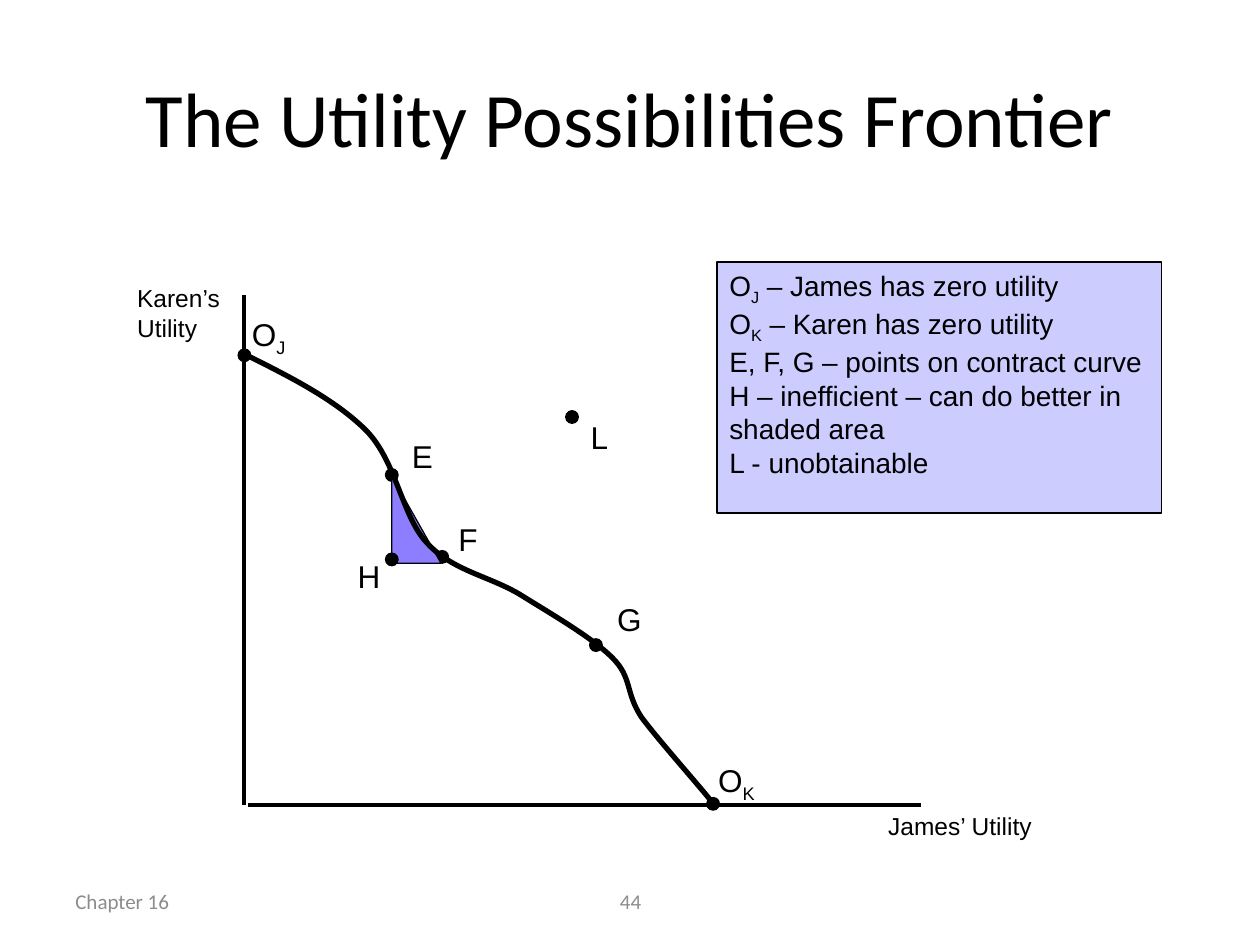
from lxml import etree
from pptx import Presentation
from pptx.dml.color import RGBColor
from pptx.enum.shapes import MSO_CONNECTOR, MSO_SHAPE
from pptx.enum.text import MSO_ANCHOR, PP_ALIGN
from pptx.oxml.ns import qn
from pptx.util import Inches, Pt

BLACK, GREY, SHADE, PANEL = "000000", "8C8C8C", "8D7DFF", "CCCCFF"
DOT = 0.1

# Name, subscript, dot centre, label box; inches from the top of the vertical axis
POINTS = [
    ("E", "", (1.17, 1.43), (1.23, 1.08, 0.34)),
    ("F", "", (1.57, 2.08), (1.6, 1.74, 0.41)),
    ("G", "", (2.79, 2.78), (2.86, 2.37, 0.47)),
    ("O", "K", (3.72, 4.04), (3.66, 3.65, 0.55)),
    ("L", "", (2.6, 0.97), (2.65, 0.93, 0.34)),
    ("O", "J", (0, 0.48), (-0.04, 0.11, 0.55)),
]
POINT_H = ("H", "", (1.17, 2.1), (0.8, 2.03, 0.38))

# Start, then two control points and an end point for each Bezier segment
FRONTIER = [
    (0, 0.47),
    (0.36, 0.65), (0.72, 0.83), (0.97, 1.08),
    (1.21, 1.33), (1.25, 1.76), (1.45, 1.97),
    (1.65, 2.19), (1.94, 2.23), (2.19, 2.38),
    (2.43, 2.53), (2.76, 2.72), (2.92, 2.88),
    (3.08, 3.04), (3.02, 3.15), (3.15, 3.35),
    (3.29, 3.54), (3.64, 3.93), (3.73, 4.05),
]

LEGEND = [
    [("O", False), ("J", True), (" – James has zero utility", False)],
    [("O", False), ("K", True), (" – Karen has zero utility", False)],
    [("E, F, G – points on contract curve", False)],
    [("H – inefficient – can do better in shaded area", False)],
    [("L - unobtainable", False)],
]


def rgb(color):
    """Turn a hex string into a colour."""
    return RGBColor.from_string(color)


def add_run(p, text, size, color=BLACK, font="Arial", sub=False):
    """Add one formatted run, as a subscript if asked."""
    r = p.add_run()
    r.text = text
    r.font.size = Pt(size)
    r.font.name = font
    r.font.color.rgb = rgb(color)
    if sub:
        r.font._element.set("baseline", "-25000")


def add_label(s, box, runs, size, color=BLACK, font="Arial",
              align=PP_ALIGN.LEFT, anchor=MSO_ANCHOR.TOP):
    """Add a wrapped text box of one paragraph."""
    tf = s.shapes.add_textbox(*map(Inches, box)).text_frame
    tf.word_wrap = True
    tf.vertical_anchor = anchor
    p = tf.paragraphs[0]
    p.alignment = align
    for text, sub in runs:
        add_run(p, text, size, color, font, sub)


def add_filled(s, kind, box, fill, width=0.75):
    """Add a preset shape with a fill and a black outline."""
    sp = s.shapes.add_shape(kind, *map(Inches, box))
    sp.shadow.inherit = False
    sp.fill.solid()
    sp.fill.fore_color.rgb = rgb(fill)
    sp.line.color.rgb = rgb(BLACK)
    sp.line.width = Pt(width)
    return sp


def add_axis(s, start, end):
    """Add a straight black axis."""
    line = s.shapes.add_connector(MSO_CONNECTOR.STRAIGHT, *map(Inches, start + end))
    line.line.color.rgb = rgb(BLACK)
    line.line.width = Pt(2.25)
    etree.SubElement(line._element.spPr, qn("a:effectLst"))


def add_point(s, left, top, point):
    """Add a named dot and its label."""
    name, sub, (x, y), (dx, dy, width) = point
    runs = [(name, False)] + ([(sub, True)] if sub else [])
    add_label(s, (left + dx, top + dy, width, 0.4), runs, 18)
    add_filled(s, MSO_SHAPE.OVAL,
               (left + x - DOT / 2, top + y - DOT / 2, DOT, DOT), BLACK)


def add_frontier(s, left, top):
    """Add the frontier as one smooth Bezier path."""
    points = [(Inches(left + x), Inches(top + y)) for x, y in FRONTIER]
    builder = s.shapes.build_freeform(*points[0])
    builder.add_line_segments(points[1:], close=False)
    sp = builder.convert_to_shape()
    sp.shadow.inherit = False
    sp.fill.background()
    sp.line.color.rgb = rgb(BLACK)
    sp.line.width = Pt(3)
    path = next(sp._element.iter(qn("a:path")))
    segments = path.findall(qn("a:lnTo"))
    for i in range(0, len(segments), 3):
        curve = etree.SubElement(path, qn("a:cubicBezTo"))
        for segment in segments[i:i + 3]:
            curve.append(segment[0])
            path.remove(segment)


def add_diagram(s, left, top, width, height):
    """Draw axes, points, shaded area and frontier."""
    bottom = top + height
    add_axis(s, (left, top), (left, bottom))
    add_axis(s, (left + 0.03, bottom), (left + width, bottom))
    add_label(s, (left + width - 0.36, bottom, 1.45, 0.33),
              [("James’ Utility", False)], 14)
    add_label(s, (left - 0.95, top - 0.14, 0.97, 0.57),
              [("Karen’s Utility", False)], 14)
    for point in POINTS:
        add_point(s, left, top, point)
    add_filled(s, MSO_SHAPE.RIGHT_TRIANGLE,
               (left + 1.17, top + 1.44, 0.39, 0.69), SHADE)
    add_point(s, left, top, POINT_H)
    add_frontier(s, left, top)


def add_legend(s, *box):
    """Add the panel that explains the points."""
    tf = add_filled(s, MSO_SHAPE.RECTANGLE, box, PANEL, 1).text_frame
    tf.word_wrap = True
    tf.vertical_anchor = MSO_ANCHOR.TOP
    for i, runs in enumerate(LEGEND):
        p = tf.add_paragraph() if i else tf.paragraphs[0]
        p.alignment = PP_ALIGN.LEFT
        for text, sub in runs:
            add_run(p, text, 16, sub=sub)


def add_title(s, *box):
    """Place and fill the title placeholder."""
    title = s.shapes.title
    title.left, title.top, title.width, title.height = map(Inches, box)
    tf = title.text_frame
    tf.vertical_anchor = MSO_ANCHOR.MIDDLE
    p = tf.paragraphs[0]
    p.alignment = PP_ALIGN.CENTER
    add_run(p, "The Utility Possibilities Frontier", 44, font="Calibri")


def add_footer(s, top, height):
    """Add the chapter and the slide number."""
    for left, width, text, align in [
        (0.5, 2.33, "Chapter 16", PP_ALIGN.LEFT),
        (3.42, 3.17, "44", PP_ALIGN.CENTER),
    ]:
        add_label(s, (left, top, width, height), [(text, False)], 12,
                  GREY, "Calibri", align, MSO_ANCHOR.MIDDLE)


def main():
    """Build and save the slide."""
    prs = Presentation()
    prs.slide_width, prs.slide_height = Inches(10), Inches(7.5)
    s = prs.slides.add_slide(prs.slide_layouts[5])
    add_footer(s, 6.95, 0.4)
    add_title(s, 0.5, 0.3, 9, 1.25)
    add_diagram(s, 1.94, 2.34, 5.37, 4.05)
    add_legend(s, 5.69, 2.08, 3.53, 1.99)
    prs.save("out.pptx")


if __name__ == "__main__":
    main()
